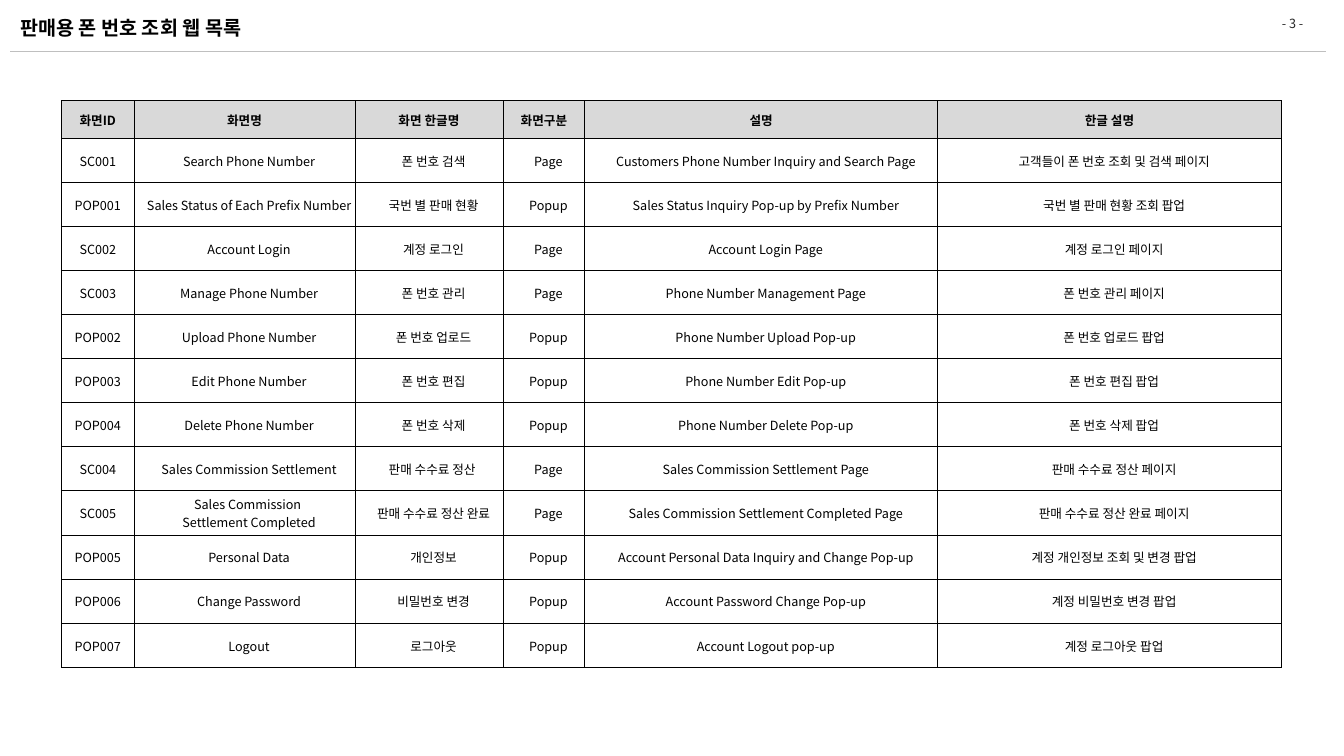
"""Build the slide listing the screens of the phone number sales web."""
from lxml import etree
from pptx import Presentation
from pptx.dml.color import RGBColor
from pptx.enum.shapes import MSO_CONNECTOR
from pptx.enum.text import MSO_ANCHOR, PP_ALIGN
from pptx.oxml.ns import qn
from pptx.util import Inches, Pt

LEFT, CENTER = PP_ALIGN.LEFT, PP_ALIGN.CENTER
MIDDLE = MSO_ANCHOR.MIDDLE
STRAIGHT = MSO_CONNECTOR.STRAIGHT
FONT = "Noto Sans CJK KR"
COLORS = {"text": "000000", "page": "262626", "rule": "BFBFBF", "head": "D9D9D9"}

WIDTHS = [0.72, 2.19, 1.47, 0.81, 3.5, 3.41]
TOTAL, HEAD = 5.62, 0.37
HEADS = ["화면ID", "화면명", "화면 한글명", "화면구분", "설명", "한글 설명"]
ROWS = [
    ["SC001", "Search Phone Number", "폰 번호 검색", "Page",
     "Customers Phone Number Inquiry and Search Page", "고객들이 폰 번호 조회 및 검색 페이지"],
    ["POP001", "Sales Status of Each Prefix Number", "국번 별 판매 현황", "Popup",
     "Sales Status Inquiry Pop-up by Prefix Number", "국번 별 판매 현황 조회 팝업"],
    ["SC002", "Account Login", "계정 로그인", "Page",
     "Account Login Page", "계정 로그인 페이지"],
    ["SC003", "Manage Phone Number", "폰 번호 관리", "Page",
     "Phone Number Management Page", "폰 번호 관리 페이지"],
    ["POP002", "Upload Phone Number", "폰 번호 업로드", "Popup",
     "Phone Number Upload Pop-up", "폰 번호 업로드 팝업"],
    ["POP003", "Edit Phone Number", "폰 번호 편집", "Popup",
     "Phone Number Edit Pop-up", "폰 번호 편집 팝업"],
    ["POP004", "Delete Phone Number", "폰 번호 삭제", "Popup",
     "Phone Number Delete Pop-up", "폰 번호 삭제 팝업"],
    ["SC004", "Sales Commission Settlement", "판매 수수료 정산 ", "Page",
     "Sales Commission Settlement Page", "판매 수수료 정산 페이지"],
    ["SC005", "Sales Commission \nSettlement Completed", "판매 수수료 정산 완료", "Page",
     "Sales Commission Settlement Completed Page", "판매 수수료 정산 완료 페이지"],
    ["POP005", "Personal Data", "개인정보", "Popup",
     "Account Personal Data Inquiry and Change Pop-up", "계정 개인정보 조회 및 변경 팝업"],
    ["POP006", "Change Password", "비밀번호 변경", "Popup",
     "Account Password Change Pop-up", "계정 비밀번호 변경 팝업"],
    ["POP007", "Logout", "로그아웃", "Popup",
     "Account Logout pop-up", "계정 로그아웃 팝업"],
]


def write(frame, text, size, color, bold=False, align=CENTER, indent=0):
    frame.text = text
    for para in frame.paragraphs:
        para.alignment = align
        if indent:
            para._p.get_or_add_pPr().set("marL", str(Inches(indent)))
        for run in para.runs:
            font = run.font
            font.name, font.size, font.bold = FONT, Pt(size), bold
            font.color.rgb = RGBColor.from_string(COLORS[color])
            east = etree.SubElement(run._r.get_or_add_rPr(), qn("a:ea"))
            east.set("typeface", FONT)


def border(cell):
    props = cell._tc.get_or_add_tcPr()
    for side in ("lnL", "lnR", "lnT", "lnB"):
        line = etree.SubElement(props, qn("a:" + side), w=str(Pt(0.5)))
        fill = etree.SubElement(line, qn("a:solidFill"))
        etree.SubElement(fill, qn("a:srgbClr"), val=COLORS["text"])


deck = Presentation()
deck.slide_width, deck.slide_height = Inches(13.33), Inches(7.5)
slide = deck.slides.add_slide(deck.slide_layouts[5])
shapes = slide.shapes

page = shapes.add_textbox(Inches(12.39), Inches(0.09), Inches(0.86), Inches(0.28))
page.text_frame.word_wrap = True
page.text_frame.vertical_anchor = MIDDLE
write(page.text_frame, "- 3 -", 9, "page")

rule = shapes.add_connector(STRAIGHT, Inches(0.1), Inches(0.51), Inches(13.15), Inches(0.51))
rule.line.color.rgb = RGBColor.from_string(COLORS["rule"])
rule.line.width = Pt(0.25)
etree.SubElement(rule._element.spPr, qn("a:effectLst"))

title = shapes.title
title.left, title.top = Inches(0.1), Inches(0.04)
title.width, title.height = Inches(8.66), Inches(0.47)
title.text_frame.vertical_anchor = MIDDLE
write(title.text_frame, "판매용 폰 번호 조회 웹 목록", 14, "text", bold=True, align=LEFT)

grid = shapes.add_table(len(ROWS) + 1, len(WIDTHS), Inches(0.61), Inches(1),
                        Inches(sum(WIDTHS)), Inches(TOTAL)).table
grid.horz_banding = False
for col, width in zip(grid.columns, WIDTHS):
    col.width = Inches(width)
for i, texts in enumerate([HEADS] + ROWS):
    head = i == 0
    grid.rows[i].height = Inches(HEAD if head else (TOTAL - HEAD) / len(ROWS))
    for j, text in enumerate(texts):
        cell = grid.cell(i, j)
        cell.vertical_anchor = MIDDLE
        cell.margin_left = cell.margin_right = cell.margin_top = Inches(0.01)
        cell.margin_bottom = 0
        border(cell)
        if head:
            cell.fill.solid()
            cell.fill.fore_color.rgb = RGBColor.from_string(COLORS["head"])
        else:
            cell.fill.background()
        write(cell.text_frame, text, 9, "text", bold=head,
              indent=0 if head or j == 0 else 0.09)

deck.save("out.pptx")
